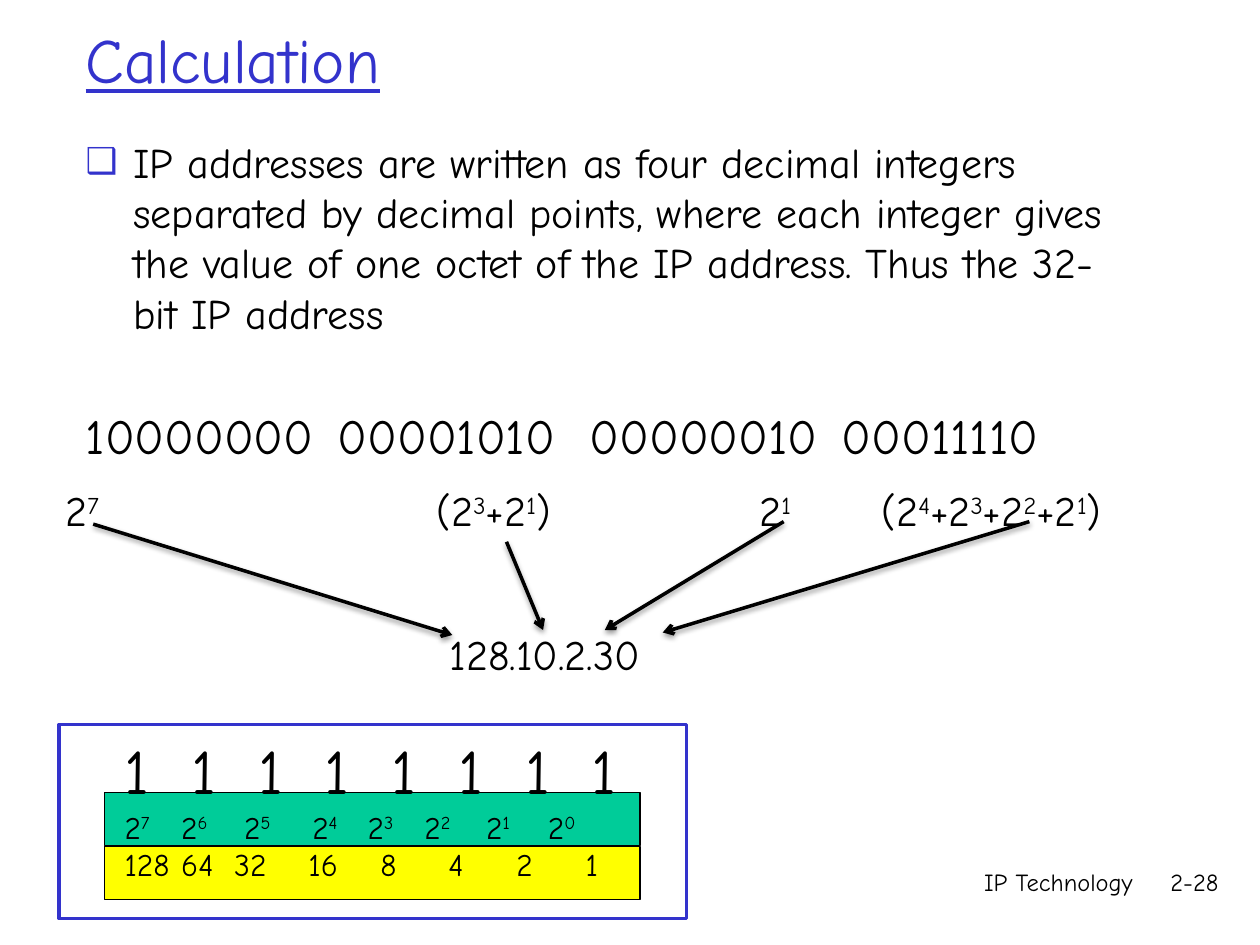
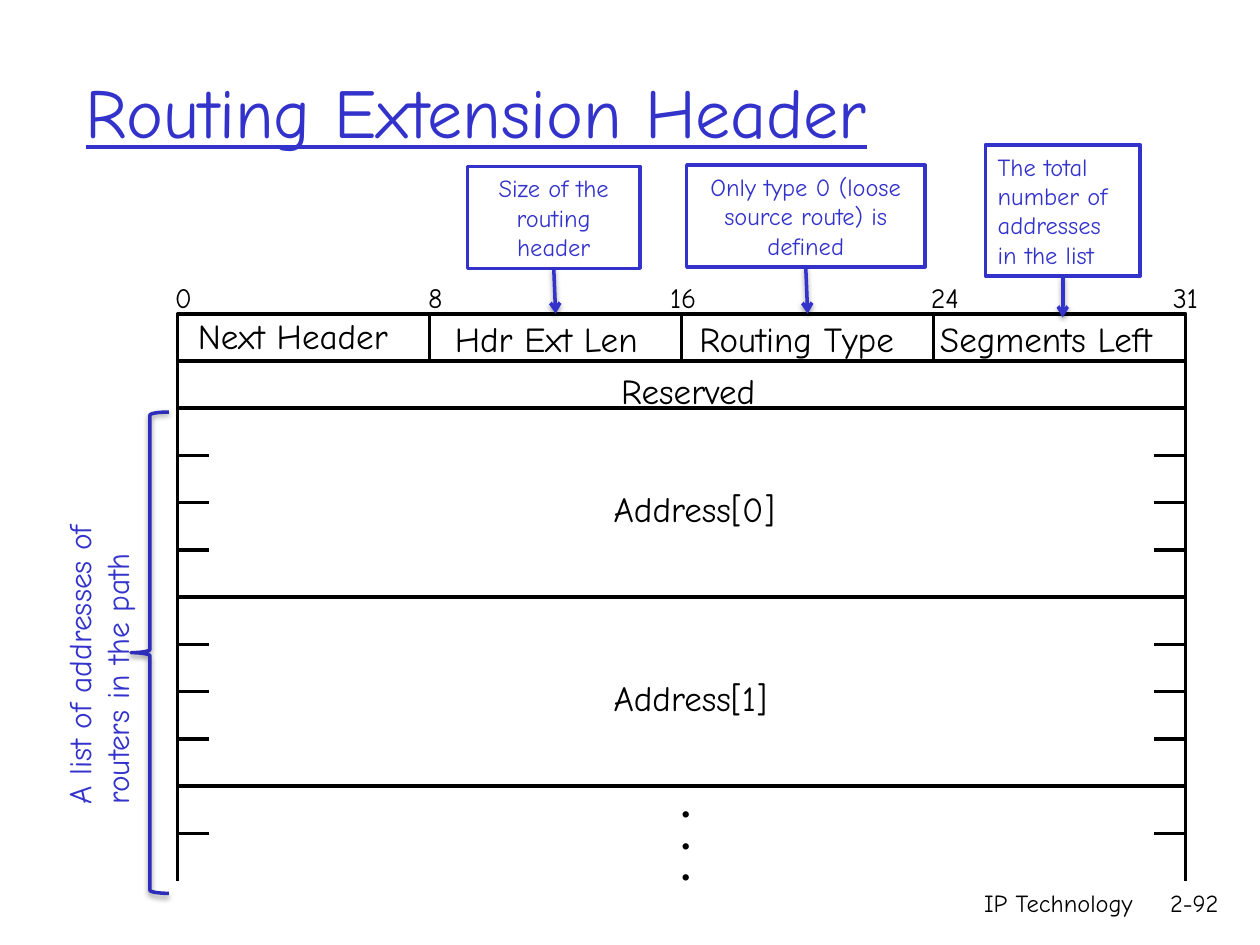
from dataclasses import dataclass
from pptx import Presentation
from pptx.dml.color import RGBColor
from pptx.enum.shapes import MSO_CONNECTOR as LINE, MSO_SHAPE as SHAPE
from pptx.enum.text import MSO_ANCHOR as ANCHOR, MSO_AUTO_SIZE as FIT, PP_ALIGN as ALIGN
from pptx.oxml import parse_xml
from pptx.oxml.ns import nsdecls
from pptx.util import Inches, Pt

FONT = "Comic Neue"
BLACK = RGBColor(0x00, 0x00, 0x00)
WHITE = RGBColor(0xFF, 0xFF, 0xFF)
BLUE = RGBColor(0x33, 0x33, 0xCC)
DARK_BLUE = RGBColor(0x2D, 0x2D, 0xB9)
YELLOW = RGBColor(0xFF, 0xFF, 0x00)
GREEN = RGBColor(0x00, 0xCC, 0x99)

SHADOW = ('<a:outerShdw {} blurRad="39370" dist="20320" dir="5400000" rotWithShape="0">'
          '<a:srgbClr val="000000"><a:alpha val="38000"/></a:srgbClr></a:outerShdw>')


@dataclass
class Box:
    left: float
    top: float
    width: float
    height: float

    def inner(self, left, top, width, height):
        return Box(self.left + left, self.top + top, width, height)

    def lengths(self):
        return [Inches(n) for n in (self.left, self.top, self.width, self.height)]


def element(xml):
    return parse_xml(xml.format(nsdecls("a")))


def write(para, text, size, color=BLACK, **extra):
    formats = {"name": FONT, "size": Pt(size), **extra}
    for index, piece in enumerate(text.split("^")):
        if not piece:
            continue
        span = para.add_run()
        span.text = piece
        for name, value in formats.items():
            setattr(span.font, name, value)
        span.font.color.rgb = color
        if index % 2:
            span._r.get_or_add_rPr().set("baseline", "30000")


def set_tabs(para, stops):
    tabs = element("<a:tabLst {}/>")
    for stop in stops:
        tab = element('<a:tab {} algn="l"/>')
        tab.set("pos", str(Inches(stop)))
        tabs.append(tab)
    para._p.get_or_add_pPr().append(tabs)


def add_text(page, box, text, size=24, color=BLACK, align=ALIGN.LEFT, fit=FIT.SHAPE_TO_FIT_TEXT):
    shape = page.shapes.add_textbox(*box.lengths())
    frame = shape.text_frame
    frame.word_wrap = True
    frame.auto_size = fit
    frame.paragraphs[0].alignment = align
    write(frame.paragraphs[0], text, size, color)
    return shape


def add_label(page, box, text):
    frame = add_text(page, box, text, 20).text_frame
    frame.word_wrap = False
    for side in ("left", "top", "right", "bottom"):
        setattr(frame, f"margin_{side}", 0)


def add_rect(page, box, fill=None, color=BLACK, weight=2, kind=SHAPE.RECTANGLE):
    shape = page.shapes.add_shape(kind, *box.lengths())
    shape.shadow.inherit = False
    if fill is None:
        shape.fill.background()
    else:
        shape.fill.solid()
        shape.fill.fore_color.rgb = fill
    shape.line.color.rgb = color
    shape.line.width = Pt(weight)
    return shape


def add_line(page, start, end, color=BLACK):
    line = page.shapes.add_connector(LINE.STRAIGHT, *[Inches(n) for n in (*start, *end)])
    line.line.color.rgb = color
    line.line.width = Pt(2)
    line._element.spPr.append(element("<a:effectLst {}/>"))
    return line


def add_shadow(shape):
    shape._element.spPr.find("{*}effectLst").append(element(SHADOW))


def add_arrow(page, start, end, color=BLACK):
    arrow = add_line(page, start, end, color)
    arrow.line._get_or_add_ln().append(element('<a:tailEnd {} type="arrow"/>'))
    add_shadow(arrow)
    return arrow


def place_placeholder(holder, box, anchor):
    for name, value in zip(("left", "top", "width", "height"), box.lengths()):
        setattr(holder, name, value)
    holder.text_frame.vertical_anchor = anchor
    holder.text_frame.auto_size = FIT.NONE
    holder.text_frame.word_wrap = True
    return holder.text_frame


def add_page(deck, layout, title, title_box, title_size):
    page = deck.slides.add_slide(deck.slide_layouts[layout])
    para = place_placeholder(page.shapes.title, title_box, ANCHOR.MIDDLE).paragraphs[0]
    para.alignment = ALIGN.LEFT
    write(para, title, title_size, BLUE, underline=True)
    return page


def add_footer(page, box, number):
    for part, text in ((box.inner(0, 0, 3.17, 0.5), "IP Technology"),
                       (box.inner(3.06, 0, 0.79, 0.5), number)):
        add_text(page, part, text, 14, align=ALIGN.RIGHT, fit=FIT.NONE)


def add_explanation(page, box):
    frame = place_placeholder(page.placeholders[1], box, ANCHOR.TOP)
    para = frame.paragraphs[0]
    props = para._p.get_or_add_pPr()
    props.set("marL", str(Inches(0.38)))
    props.set("indent", str(-Inches(0.38)))
    for xml in ('<a:buClr {}><a:srgbClr val="3333CC"/></a:buClr>', '<a:buSzPct {} val="85000"/>',
                '<a:buFont {} typeface="Arial"/>', '<a:buChar {} char="❑"/>'):
        props.append(element(xml))
    para.space_before = Pt(0)
    write(para, "IP addresses are written as four decimal integers separated by decimal points, "
                "where each integer gives the value of one octet of the IP address. "
                "Thus the 32-bit IP address", 24)
    octets = frame.add_paragraph()
    props = octets._p.get_or_add_pPr()
    props.set("marL", "0")
    props.set("indent", "0")
    props.append(element("<a:buNone {}/>"))
    set_tabs(octets, (2.05, 4.03, 6.12))
    octets.space_before = Pt(39)
    write(octets, "\t".join(("10000000", "00001010", "00000010", "00011110")), 28)


def add_conversion(page, box):
    add_text(page, box.inner(3.05, 1.14, 3.33, 0.5), "128.10.2.30")
    octets = (
        ("2^7^", 0, 0.63, (0.32, 0.36), (3.17, 1.24)),
        ("(2^3^+2^1^)", 2.95, 1.3, (3.6, 0.5), (3.89, 1.2)),
        ("2^1^", 5.51, 0.64, (5.8, 0.34), (4.38, 1.2)),
        ("(2^4^+2^3^+2^2^+2^1^)", 6.48, 2.37, (7.75, 0.34), (4.84, 1.22)),
    )
    for text, left, width, start, end in octets:
        add_text(page, box.inner(left, 0, width, 0.5), text)
        add_arrow(page, *[(box.left + x, box.top + y) for x, y in (start, end)])


def add_bit_values(page, box):
    add_rect(page, box, WHITE, BLUE)
    for top, fill in ((0.97, YELLOW), (0.54, GREEN)):
        add_rect(page, box.inner(0.36, top, 4.25, 0.42), fill, weight=0.75)
    bits = range(7, -1, -1)
    rows = (
        (["1"] * 8, 36, [0.53 * step for step in range(1, 8)]),
        ([f"2^{bit}^" for bit in bits], 18, (0.45, 0.95, 1.49, 1.93, 2.38, 2.87, 3.36)),
        ([str(2 ** bit) for bit in bits], 18, (0.45, 0.87, 1.46, 2.03, 2.57, 3.11, 3.66)),
    )
    frame = page.shapes.add_textbox(*box.inner(0.42, 0.01, 4.46, 1.31).lengths()).text_frame
    frame.word_wrap = True
    for index, (cells, size, stops) in enumerate(rows):
        para = frame.add_paragraph() if index else frame.paragraphs[0]
        set_tabs(para, stops)
        write(para, "\t".join(cells), size)


ROW = 0.375
FIELD = 2.0


def add_ticks(page, box, count):
    for row in range(1, count + 1):
        y = box.top + row * ROW
        for x in (box.left, box.left + box.width - 0.25):
            add_line(page, (x, y), (x + 0.25, y))


def add_header_fields(page, box):
    labels = (("Next Header", 0.16, 0.01, 1.73), ("Hdr Ext Len", 2.2, 0.03, 1.61),
              ("Routing Type", 4.14, 0.03, 1.7), ("Segments Left", 6.05, 0.03, 1.95))
    fields = []
    for column, (text, left, top, width) in enumerate(labels):
        fields.append(add_rect(page, box.inner(column * FIELD, 0, FIELD, ROW)))
        add_label(page, box.inner(left, top, width, 0.34), text)
    for text, left, width in (("0", -0.12, 0.44), ("8", 1.89, 0.44), ("16", 3.81, 0.44),
                              ("24", 5.88, 0.63), ("31", 7.8, 0.52)):
        add_text(page, box.inner(left, -0.31, width, 0.37), text, 16)
    add_rect(page, box.inner(0, ROW, box.width, ROW))
    add_label(page, box.inner(3.52, 0.44, 1.21, 0.34), "Reserved")
    return fields


def add_addresses(page, box):
    for index, width in enumerate((1.48, 1.43)):
        block = box.inner(0, index * 4 * ROW, box.width, 4 * ROW)
        add_rect(page, block)
        add_ticks(page, block, 3)
        add_label(page, block.inner(3.46, 0.63, width, 0.34), f"Address[{index}]")
    rest = box.inner(0, 8 * ROW, box.width, 2 * ROW)
    add_ticks(page, rest, 1)
    for x in (rest.left, rest.left + rest.width):
        add_line(page, (x, rest.top), (x, rest.top + rest.height))
    for dot in range(3):
        add_label(page, rest.inner(3.99, 0.02 + dot * 0.25, 0.19, 0.34), "•")


def add_callout(page, box, text, align, tip, field=None):
    shape = add_rect(page, box, WHITE, BLUE)
    frame = shape.text_frame
    frame.word_wrap = True
    frame.auto_size = FIT.SHAPE_TO_FIT_TEXT
    frame.paragraphs[0].alignment = align
    write(frame.paragraphs[0], text, 14, BLUE)
    middle = box.left + box.width / 2
    arrow = add_arrow(page, (middle, box.top + box.height), (middle, tip), BLUE)
    arrow.begin_connect(shape, 2)
    if field is not None:
        arrow.end_connect(field, 0)


def add_path_note(page, box):
    brace = add_rect(page, box, color=DARK_BLUE, kind=SHAPE.LEFT_BRACE)
    add_shadow(brace)
    note = add_text(page, box.inner(-1.7, 1.42, 2.88, 0.71),
                    "A list of addresses of routers in the path", 18, BLUE)
    note.rotation = 270


def build_calculation(deck):
    page = add_page(deck, 1, "Calculation", Box(0.58, 0.08, 8.5, 0.76), 36)
    add_explanation(page, Box(0.58, 1.03, 8.5, 2.91))
    add_footer(page, Box(5.92, 6.83, 3.85, 0.5), "2-28")
    add_conversion(page, Box(0.42, 3.8, 8.85, 1.64))
    add_bit_values(page, Box(0.47, 5.75, 4.98, 1.54))


def build_routing_header(deck):
    page = add_page(deck, 5, "Routing Extension Header", Box(0.58, 0.25, 8.5, 1.25), 40)
    header = Box(1.41, 2.49, 4 * FIELD, 2 * ROW)
    fields = add_header_fields(page, header)
    add_addresses(page, header.inner(0, 2 * ROW, header.width, 10 * ROW))
    add_callout(page, Box(5.45, 1.31, 1.89, 0.81), "Only type 0 (loose source route) is defined",
                ALIGN.CENTER, header.top, fields[2])
    add_callout(page, Box(7.82, 1.15, 1.23, 1.04), "The total number of addresses in the list",
                ALIGN.LEFT, header.top + 0.03)
    add_callout(page, Box(3.71, 1.32, 1.37, 0.81), "Size of the routing header",
                ALIGN.CENTER, header.top, fields[1])
    add_path_note(page, Box(1.04, 3.27, 0.3, 3.82))
    add_footer(page, Box(5.92, 7, 3.85, 0.5), "2-92")


def main():
    deck = Presentation()
    deck.slide_width = Inches(10)
    deck.slide_height = Inches(7.5)
    build_calculation(deck)
    build_routing_header(deck)
    deck.save("out.pptx")


if __name__ == "__main__":
    main()
